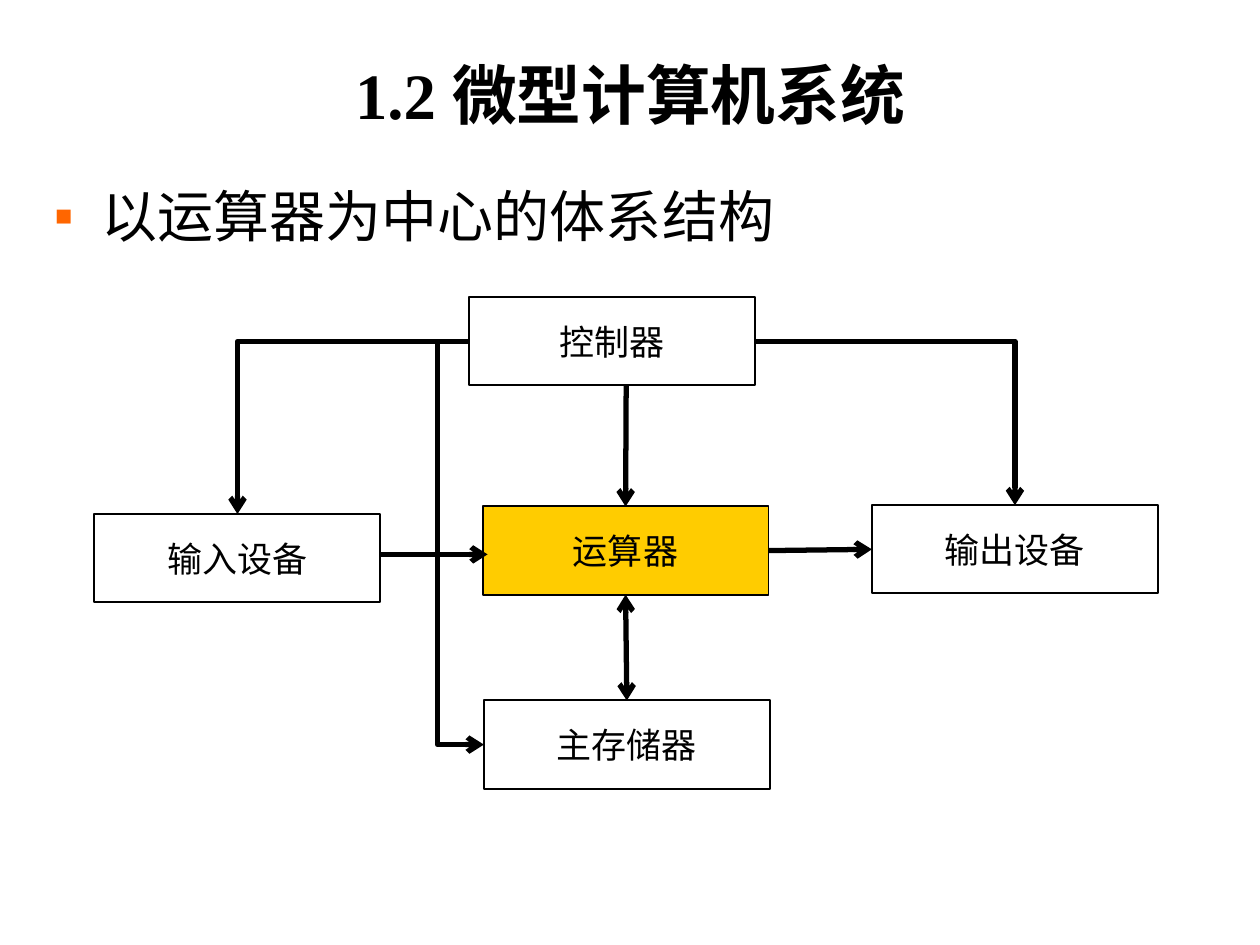
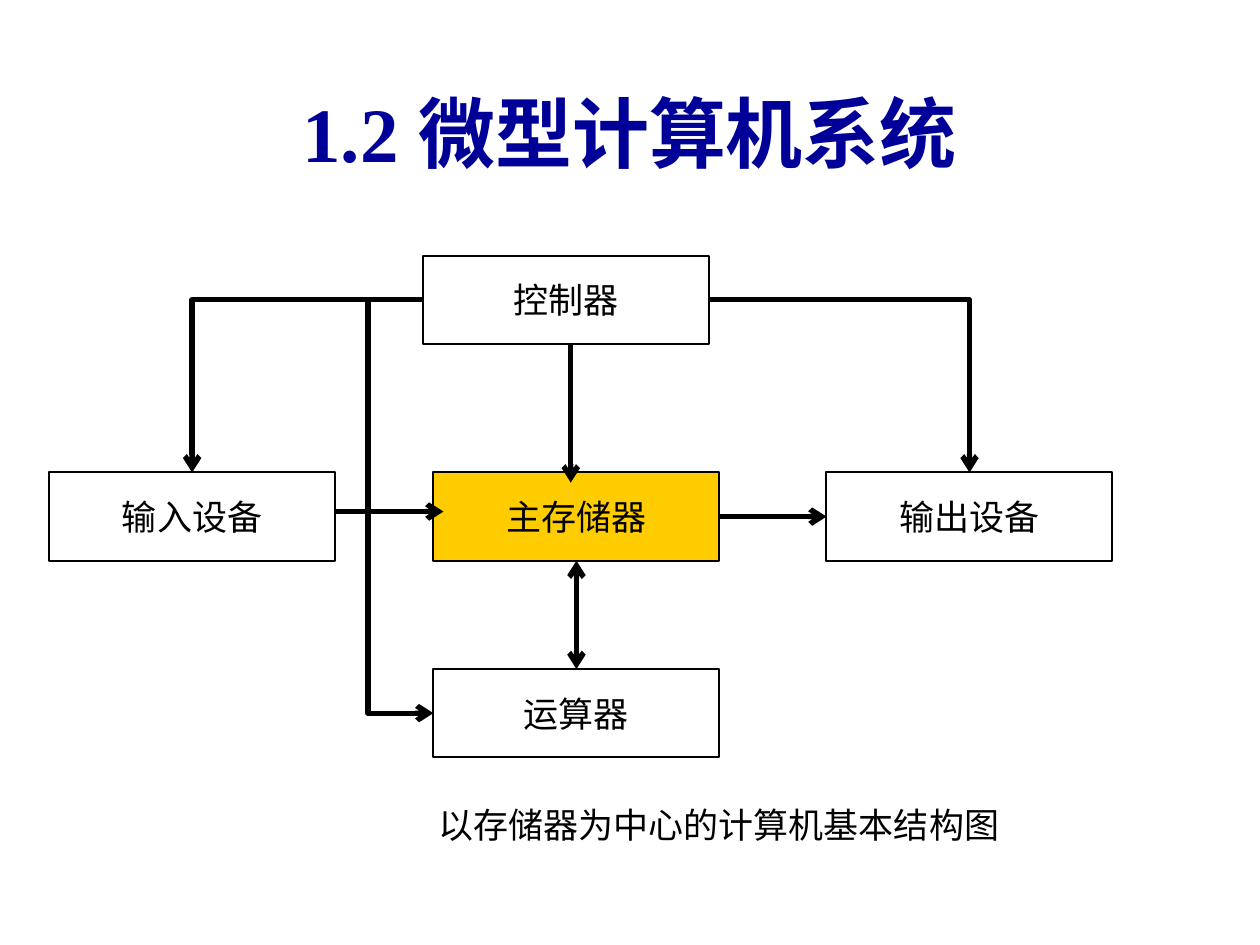
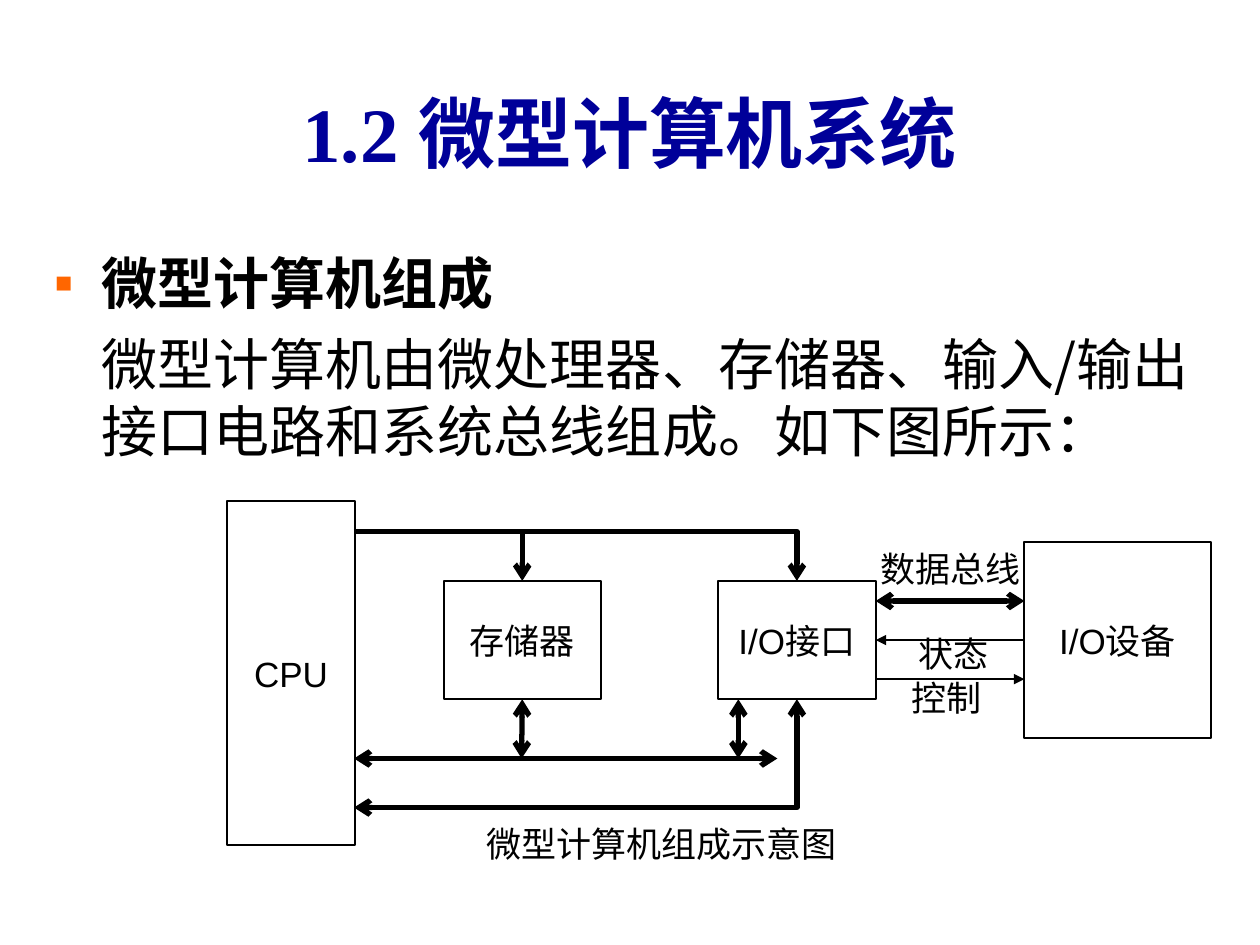
from dataclasses import dataclass
from enum import IntEnum
from typing import NamedTuple, Optional, Union

from lxml.etree import SubElement
from pptx import Presentation
from pptx.dml.color import RGBColor
from pptx.enum.shapes import MSO_CONNECTOR, MSO_SHAPE
from pptx.enum.text import MSO_ANCHOR, MSO_AUTO_SIZE, PP_ALIGN
from pptx.oxml.ns import qn
from pptx.shapes.autoshape import Shape
from pptx.shapes.connector import Connector
from pptx.slide import Slide
from pptx.text.text import TextFrame
from pptx.util import Inches, Pt

BLACK = RGBColor(0x00, 0x00, 0x00)
NAVY = RGBColor(0x00, 0x00, 0x99)
GOLD = RGBColor(0xFF, 0xCC, 0x00)
ORANGE = RGBColor(0xFF, 0x66, 0x00)

SERIF = "Times New Roman"
SANS = "Arial"
CHINESE = "Noto Sans CJK SC"

TITLE = "1.2 微型计算机系统"
MARGIN, CONTENT_WIDTH = 0.33, 9.34
INDENT = 0.38
UNIT_WIDTH, UNIT_HEIGHT = 2.27, 0.7
THICK, THIN = 3, 1


class Side(IntEnum):
    TOP = 0
    LEFT = 1
    BOTTOM = 2
    RIGHT = 3


class Point(NamedTuple):
    x: float
    y: float


class Area(NamedTuple):
    left: float
    top: float
    width: float
    height: float


class Joint(NamedTuple):
    """The middle of one side of a box."""
    box: Shape
    side: Side


End = Union[Point, Joint]


@dataclass(frozen=True)
class Unit:
    text: str
    left: float
    top: float


@dataclass(frozen=True)
class Architecture:
    """A central unit with its controller, neighbours and loose arrow ends."""
    controller: Unit
    centre: Unit
    below: Unit
    input: Unit
    output: Unit
    control_start: Point
    control_end: Optional[Point]  # None: middle of the central unit's top
    input_start: Point
    input_end: Point
    detour: float  # reach of the lower control line, as a share of its width


ARITHMETIC_CENTRED = Architecture(
    controller=Unit("控制器", 3.72, 2.36),
    centre=Unit("运算器", 3.83, 4.02),
    below=Unit("主存储器", 3.84, 5.56),
    input=Unit("输入设备", 0.75, 4.08),
    output=Unit("输出设备", 6.92, 4.01),
    control_start=Point(4.97, 3.06),
    control_end=None,
    input_start=Point(3.01, 4.4),
    input_end=Point(3.87, 4.4),
    detour=-2.08,
)
MEMORY_CENTRED = Architecture(
    controller=Unit("控制器", 3.36, 2.03),
    centre=Unit("主存储器", 3.44, 3.75),
    below=Unit("运算器", 3.44, 5.31),
    input=Unit("输入设备", 0.39, 3.75),
    output=Unit("输出设备", 6.56, 3.75),
    control_start=Point(4.53, 2.73),
    control_end=Point(4.53, 3.83),
    input_start=Point(2.66, 4.06),
    input_end=Point(3.52, 4.06),
    detour=-5.5,
)


def write(frame: TextFrame, text: str, *, size: float = 20, font: str = SANS,
          color: RGBColor = BLACK, bold: bool = False,
          align: PP_ALIGN = PP_ALIGN.CENTER, indent: float = 0,
          bullet: str = "", before: float = 0,
          line_spacing: Optional[float] = None) -> None:
    """Write one paragraph, filling the empty first one before adding more."""
    first = frame.paragraphs[0]
    para = frame.add_paragraph() if first.runs else first
    para.alignment = align
    para.space_before = Pt(before)
    if line_spacing:
        para.line_spacing = line_spacing
    properties = para._p.get_or_add_pPr()
    properties.set("marL", str(Inches(indent)))
    properties.set("indent", str(-Inches(indent) if bullet else 0))
    if bullet:
        bullet_color = SubElement(properties, qn("a:buClr"))
        SubElement(bullet_color, qn("a:srgbClr")).set("val", str(ORANGE))
        SubElement(properties, qn("a:buFont")).set("typeface", SANS)
        SubElement(properties, qn("a:buChar")).set("char", bullet)
    span = para.add_run()
    span.text = text
    span.font.size = Pt(size)
    span.font.bold = bold
    span.font.color.rgb = color
    span.font.name = font
    SubElement(span._r.get_or_add_rPr(), qn("a:ea")).set("typeface", CHINESE)


def add_text_area(page: Slide, area: Area, anchor: MSO_ANCHOR = MSO_ANCHOR.TOP,
                  wrap: bool = True) -> TextFrame:
    frame = page.shapes.add_textbox(*map(Inches, area)).text_frame
    frame.word_wrap = wrap
    frame.vertical_anchor = anchor
    return frame


def add_title(page: Slide, *, height: float = 1.25, size: float = 44,
              color: RGBColor = NAVY, line_spacing: Optional[float] = None) -> None:
    frame = add_text_area(page, Area(MARGIN, 0.42, CONTENT_WIDTH, height),
                          MSO_ANCHOR.MIDDLE)
    write(frame, TITLE, size=size, font=SERIF, color=color, bold=True,
          line_spacing=line_spacing)


def add_body(page: Slide, top: float, height: float) -> TextFrame:
    return add_text_area(page, Area(MARGIN, top, CONTENT_WIDTH, height))


def add_label(page: Slide, text: str, left: float, top: float, width: float) -> None:
    frame = add_text_area(page, Area(left, top, width, 0.44), wrap=False)
    frame.auto_size = MSO_AUTO_SIZE.SHAPE_TO_FIT_TEXT
    write(frame, text)


def add_box(page: Slide, text: str, area: Area,
            fill: Optional[RGBColor] = None) -> Shape:
    box = page.shapes.add_shape(MSO_SHAPE.RECTANGLE, *map(Inches, area))
    box.shadow.inherit = False
    if fill is None:
        box.fill.background()
    else:
        box.fill.solid()
        box.fill.fore_color.rgb = fill
    box.line.color.rgb = BLACK
    box.line.width = Pt(1.13)
    box.text_frame.word_wrap = True
    box.text_frame.vertical_anchor = MSO_ANCHOR.MIDDLE
    write(box.text_frame, text)
    return box


def add_unit(page: Slide, unit: Unit, fill: Optional[RGBColor] = None) -> Shape:
    area = Area(unit.left, unit.top, UNIT_WIDTH, UNIT_HEIGHT)
    return add_box(page, unit.text, area, fill)


def add_arrow(page: Slide, start: End, end: End, *, both: bool = False,
              width: float = THICK, head: str = "arrow",
              kind: MSO_CONNECTOR = MSO_CONNECTOR.STRAIGHT) -> Connector:
    """Draw an arrow; ends given as joints are glued to their boxes."""
    points = [Point(0, 0) if isinstance(item, Joint) else item
              for item in (start, end)]
    arrow = page.shapes.add_connector(
        kind, *(Inches(value) for point in points for value in point))
    if isinstance(start, Joint):
        arrow.begin_connect(start.box, start.side)
    if isinstance(end, Joint):
        arrow.end_connect(end.box, end.side)
    arrow.line.color.rgb = BLACK
    arrow.line.width = Pt(width)
    line = arrow.line._get_or_add_ln()
    for tag in (["a:headEnd"] if both else []) + ["a:tailEnd"]:
        SubElement(line, qn(tag)).set("type", head)
    SubElement(arrow._element.spPr, qn("a:effectLst"))
    return arrow


def add_corner_arrow(page: Slide, start: End, end: End, *, both: bool = False) -> None:
    """Draw an arrow that runs sideways, then turns once."""
    arrow = add_arrow(page, start, end, both=both, kind=MSO_CONNECTOR.ELBOW)
    arrow._element.spPr.find(qn("a:prstGeom")).set("prst", "bentConnector2")


def add_detour_arrow(page: Slide, start: End, end: End, reach: float) -> None:
    """Draw an arrow with two turns, the first at reach times its width."""
    arrow = add_arrow(page, start, end, kind=MSO_CONNECTOR.ELBOW)
    geometry = arrow._element.spPr.find(qn("a:prstGeom"))
    guide = SubElement(geometry.find(qn("a:avLst")), qn("a:gd"))
    guide.set("name", "adj1")
    guide.set("fmla", f"val {round(reach * 100000)}")


def draw_architecture(page: Slide, plan: Architecture) -> None:
    controller = add_unit(page, plan.controller)
    below = add_unit(page, plan.below)
    centre = add_unit(page, plan.centre, GOLD)
    source = add_unit(page, plan.input)
    target = add_unit(page, plan.output)

    add_arrow(page, plan.control_start, plan.control_end or Joint(centre, Side.TOP))
    add_arrow(page, Joint(centre, Side.BOTTOM), Joint(below, Side.TOP), both=True)
    add_corner_arrow(page, Joint(controller, Side.LEFT), Joint(source, Side.TOP))
    add_corner_arrow(page, Joint(controller, Side.RIGHT), Joint(target, Side.TOP))
    add_arrow(page, Joint(centre, Side.RIGHT), Joint(target, Side.LEFT))
    add_arrow(page, plan.input_start, plan.input_end)
    add_detour_arrow(page, Joint(controller, Side.LEFT), Joint(below, Side.LEFT),
                     plan.detour)


def draw_microcomputer(page: Slide) -> None:
    cpu_edge, bus_y = 2.81, 6.02
    part_top, part_width, part_height = 4.61, 1.25, 0.94
    part_bottom = part_top + part_height
    add_box(page, "CPU", Area(1.8, 3.98, 1.02, 2.73))
    memory = add_box(page, "存储器", Area(3.52, part_top, part_width, part_height))
    interface = add_box(page, "I/O接口", Area(5.7, part_top, part_width, part_height))
    device = add_box(page, "I/O设备", Area(8.13, 4.3, 1.48, 1.56))

    for part in (memory, interface):
        add_corner_arrow(page, Point(cpu_edge, 4.22), Joint(part, Side.TOP))
    add_arrow(page, Point(cpu_edge, bus_y), Point(6.17, bus_y), both=True)
    add_corner_arrow(page, Point(cpu_edge, 6.41), Joint(interface, Side.BOTTOM),
                     both=True)
    add_arrow(page, Joint(memory, Side.BOTTOM), Point(4.14, bus_y), both=True)
    add_arrow(page, Point(5.86, part_bottom), Point(5.86, bus_y), both=True)

    interface_edge, device_edge = 6.95, 8.13
    add_arrow(page, Point(interface_edge, 4.77), Point(device_edge, 4.77), both=True)
    add_arrow(page, Joint(device, Side.LEFT), Joint(interface, Side.RIGHT),
              width=THIN, head="triangle")
    add_arrow(page, Point(interface_edge, 5.39), Point(device_edge, 5.39),
              width=THIN, head="triangle")

    add_label(page, "数据总线", 6.88, 4.3, 1.33)
    add_label(page, "控制", 7.11, 5.32, 0.8)
    add_label(page, "状态", 7.17, 4.97, 0.8)
    add_label(page, "微型计算机组成示意图", 3.75, 6.48, 3)


def main() -> None:
    deck = Presentation()
    deck.slide_width, deck.slide_height = Inches(10), Inches(7.5)
    blank = deck.slide_layouts[6]

    page = deck.slides.add_slide(blank)
    write(add_body(page, 1.39, 0.91), "以运算器为中心的体系结构", size=32, font=SERIF,
          align=PP_ALIGN.LEFT, indent=INDENT, bullet="▪")
    add_title(page, height=0.73, size=37, color=BLACK, line_spacing=0.9)
    draw_architecture(page, ARITHMETIC_CENTRED)

    page = deck.slides.add_slide(blank)
    add_title(page)
    draw_architecture(page, MEMORY_CENTRED)
    add_label(page, "以存储器为中心的计算机基本结构图", 3.38, 6.33, 4.65)

    page = deck.slides.add_slide(blank)
    add_title(page)
    body = add_body(page, 1.92, 1.99)
    write(body, "微型计算机组成", size=32, font=CHINESE, bold=True,
          align=PP_ALIGN.LEFT, indent=INDENT, bullet="▪")
    write(body, "微型计算机由微处理器、存储器、输入/输出接口电路和系统总线组成。如下图所示：",
          size=32, font=CHINESE, align=PP_ALIGN.LEFT, indent=INDENT, before=8)
    draw_microcomputer(page)

    deck.save("out.pptx")


if __name__ == "__main__":
    main()
